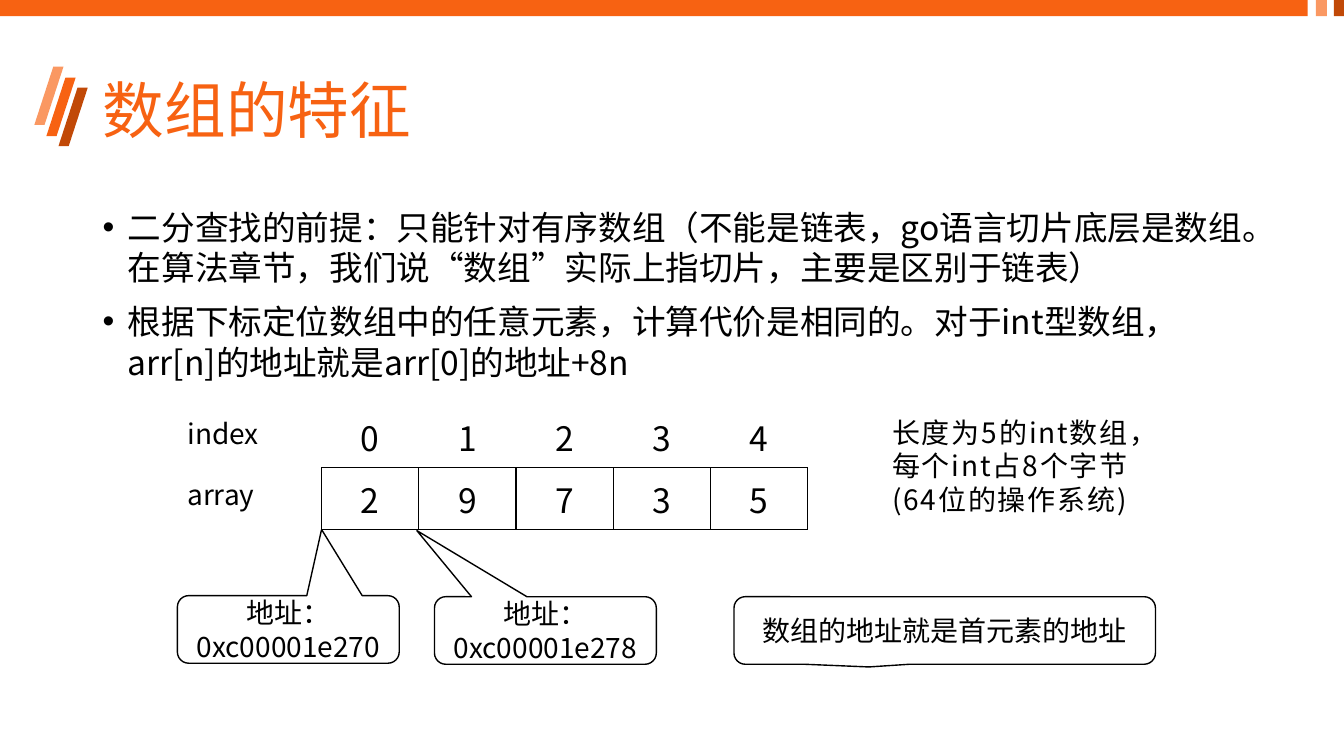
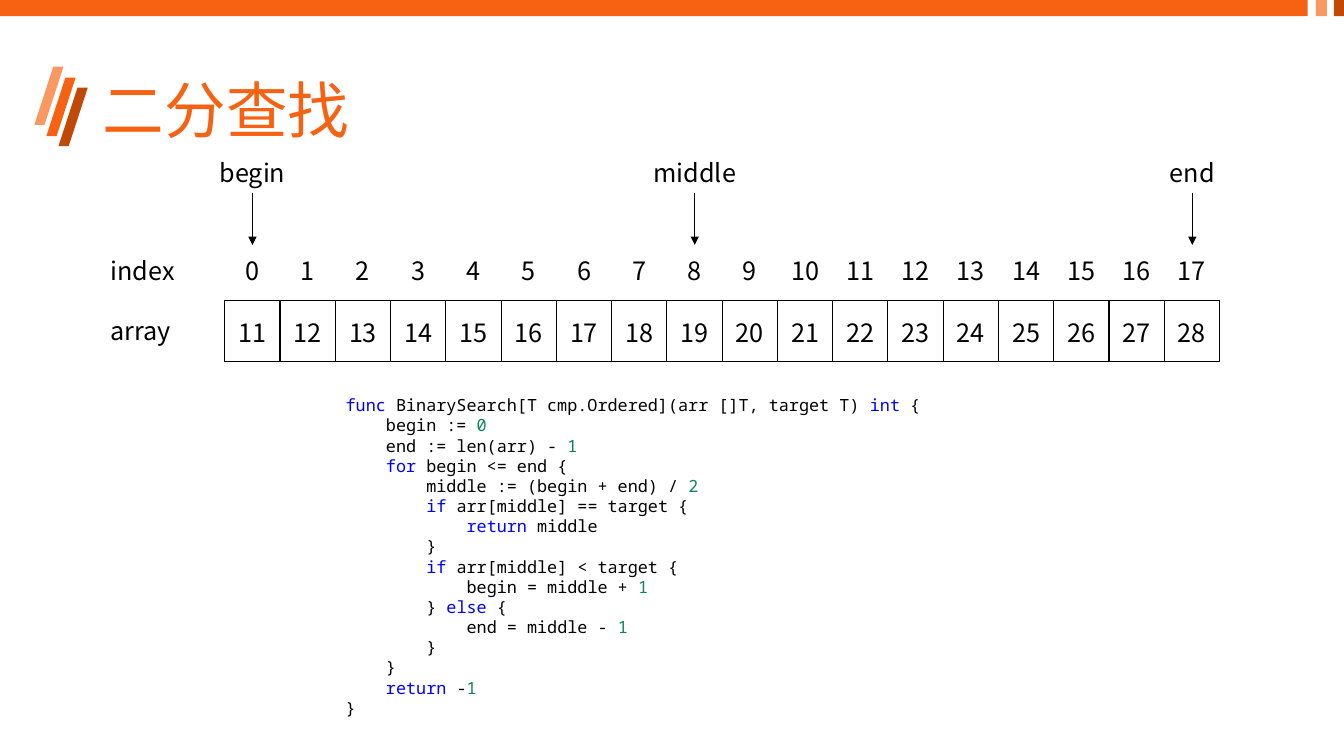
import pptx
import pptx.dml.color
import pptx.enum.shapes
import pptx.enum.text
import pptx.oxml
import pptx.oxml.ns
import pptx.util
from lxml import etree

Inches, Pt = pptx.util.Inches, pptx.util.Pt
hex_colour = pptx.dml.color.RGBColor.from_string
qn = pptx.oxml.ns.qn
SHAPE = pptx.enum.shapes.MSO_SHAPE
LEFT, CENTRE = pptx.enum.text.PP_ALIGN.LEFT, pptx.enum.text.PP_ALIGN.CENTER
MIDDLE = pptx.enum.text.MSO_ANCHOR.MIDDLE

ORANGE, PALE, RUST = "F76212", "FA9862", "C14907"
BLACK, KEYWORD, NUMBER = "000000", "0000FF", "098658"
SANS, MONO = "Noto Sans CJK SC", "Noto Sans Mono"
LINE_HEIGHT = 1.2
NO_TABLE_STYLE = "{2D5ABB26-0587-4C30-8999-92F81FD0307C}"


def add_span(para, text, size, colour=BLACK, font=SANS):
    span = para.add_run()
    span.text = text
    span.font.size = Pt(size)
    span.font.color.rgb = hex_colour(colour)
    span.font.name = font
    properties = span.font._element
    etree.SubElement(properties, qn("a:ea")).set("typeface", font)


def write_lines(frame, lines, size, align=LEFT):
    """Fill a text frame with one paragraph a line and return the paragraphs."""
    for number, line in enumerate(lines):
        para = frame.add_paragraph() if number else frame.paragraphs[0]
        para.alignment = align
        para.line_spacing = Pt(size * LINE_HEIGHT)
        add_span(para, line, size)
    return frame.paragraphs


deck = pptx.Presentation()
deck.slide_width, deck.slide_height = Inches(13.33), Inches(7.5)
layout = deck.slide_layouts[5]
for holder in list(layout.placeholders)[1:]:
    holder.element.getparent().remove(holder.element)

# Titles
pages = []
for title_text in ["数组的特征", "二分查找"]:
    page = deck.slides.add_slide(layout)
    title = page.shapes.title
    title.left, title.top = Inches(0.92), Inches(0.4)
    title.width, title.height = Inches(11.5), Inches(1.45)
    title.text_frame.vertical_anchor = MIDDLE
    para = title.text_frame.paragraphs[0]
    para.alignment, para.line_spacing = LEFT, 0.9
    add_span(para, title_text, 44, ORANGE)
    pages.append(page)
array_page, search_page = pages

# Top band and slanted bars, moved to the shared layout
decorations = [
    (SHAPE.PARALLELOGRAM, 0.46, 0.77, 0.29, 0.58, ORANGE),
    (SHAPE.PARALLELOGRAM, 0.34, 0.66, 0.29, 0.58, PALE),
    (SHAPE.PARALLELOGRAM, 0.58, 0.87, 0.29, 0.58, RUST),
    (SHAPE.RECTANGLE, 0, 0, 12.97, 0.16, ORANGE),
    (SHAPE.RECTANGLE, 13.05, 0, 0.11, 0.16, PALE),
    (SHAPE.RECTANGLE, 13.23, 0, 0.11, 0.16, RUST),
]
for kind, left, top, width, height, colour in decorations:
    bar = array_page.shapes.add_shape(
        kind, Inches(left), Inches(top), Inches(width), Inches(height))
    bar.shadow.inherit = False
    bar.fill.solid()
    bar.fill.fore_color.rgb = hex_colour(colour)
    bar.line.fill.background()
    if kind == SHAPE.PARALLELOGRAM:
        bar.adjustments[0] = 0.65
    layout.shapes.element.append(bar.element)

# Index row above a bordered array row, on both slides
ROW_HEIGHT = 0.61
SEARCH_LEFT, SEARCH_WIDTH = 2.23, 9.87
SEARCH_COLUMN = SEARCH_WIDTH / 18
arrays = [
    (array_page, 3.19, 4.03, 4.82 / 5, 24, [2, 9, 7, 3, 5]),
    (search_page, SEARCH_LEFT, 2.37, SEARCH_COLUMN, 18, range(11, 29)),
]
for page, left, top, column_width, size, values in arrays:
    for row, numbers in enumerate([range(len(values)), values]):
        table = page.shapes.add_table(
            1, len(values), Inches(left), Inches(top + row * ROW_HEIGHT),
            Inches(column_width * len(values)), Inches(ROW_HEIGHT)).table
        table.first_row = table.horz_banding = False
        table._tbl.tblPr.find(qn("a:tableStyleId")).text = NO_TABLE_STYLE
        for column, number in enumerate(numbers):
            table.columns[column].width = Inches(column_width)
            cell = table.cell(0, column)
            cell.vertical_anchor = MIDDLE
            para = write_lines(cell.text_frame, [str(number)], size, CENTRE)[0]
            para.line_spacing = None
            properties = cell._tc.get_or_add_tcPr()
            for side in ["a:lnL", "a:lnR", "a:lnT", "a:lnB"]:
                border = etree.SubElement(properties, qn(side), w=str(Pt(1)))
                if row:
                    fill = etree.SubElement(border, qn("a:solidFill"))
                    etree.SubElement(fill, qn("a:srgbClr"), val=BLACK)
                else:
                    etree.SubElement(border, qn("a:noFill"))
            cell.fill.background()

# Text boxes: page, left, top, width, height, wrap, size, alignment, lines
body_lines = [
    "二分查找的前提：只能针对有序数组（不能是链表，go语言切片底层是数组。"
    "在算法章节，我们说“数组”实际上指切片，主要是区别于链表）",
    "根据下标定位数组中的任意元素，计算代价是相同的。"
    "对于int型数组，arr[n]的地址就是arr[0]的地址+8n",
]
note_lines = ["长度为5的int数组，", "每个int占8个字节", "(64位的操作系统)"]
texts = [
    (array_page, 0.92, 2, 11.5, 1.9, True, 24, LEFT, body_lines),
    (array_page, 1.76, 4.08, 1.2, 0.44, True, 20, LEFT, ["index"]),
    (array_page, 1.76, 4.69, 1.2, 0.44, True, 20, LEFT, ["array"]),
    (array_page, 8.75, 4.07, 2.88, 1.11, False, 20, LEFT, note_lines),
    (search_page, 1, 2.48, 1.06, 0.4, True, 18, LEFT, ["index"]),
    (search_page, 1, 3.08, 1.06, 0.4, True, 18, LEFT, ["array"]),
]
pointers = [("begin", 0), ("middle", 8), ("end", 17)]
for label, index in pointers:
    centre = SEARCH_LEFT + (index + 0.5) * SEARCH_COLUMN
    texts.append((search_page, centre - 0.75, 1.51, 1.5, 0.4, True, 18, CENTRE, [label]))
    arrow = search_page.shapes.add_connector(
        pptx.enum.shapes.MSO_CONNECTOR.STRAIGHT,
        Inches(centre), Inches(1.91), Inches(centre), Inches(2.43))
    arrow.line.width = Pt(1)
    arrow.line.color.rgb = hex_colour(BLACK)
    etree.SubElement(arrow.line._get_or_add_ln(), qn("a:tailEnd"), type="triangle")
    etree.SubElement(arrow.element.spPr, qn("a:effectLst"))

for page, left, top, width, height, wrap, size, align, lines in texts:
    box = page.shapes.add_textbox(Inches(left), Inches(top), Inches(width), Inches(height))
    box.text_frame.word_wrap = wrap
    for para in write_lines(box.text_frame, lines, size, align):
        if lines is body_lines:
            para.space_before = Pt(10)
            properties = para._p.get_or_add_pPr()
            properties.set("marL", str(Inches(0.25)))
            properties.set("indent", str(Inches(-0.25)))
            etree.SubElement(properties, qn("a:buFont"), typeface="Arial")
            etree.SubElement(properties, qn("a:buChar"), char="•")
        elif lines is note_lines:
            para.runs[0].font._element.set("spc", "130")

# Address callouts
callouts = [
    (1.76, 5.91, 2.2, (0.15, -1.48), ["地址：", "0xc00001e270"]),
    (4.31, 5.92, 2.2, (-0.58, -1.48), ["地址：", "0xc00001e278"]),
    (7.28, 5.92, 4.18, (-0.18, 0.54), ["数组的地址就是首元素的地址"]),
]
for left, top, width, tip, lines in callouts:
    callout = array_page.shapes.add_shape(
        SHAPE.ROUNDED_RECTANGULAR_CALLOUT,
        Inches(left), Inches(top), Inches(width), Inches(0.67))
    callout.adjustments[0], callout.adjustments[1] = tip
    callout.shadow.inherit = False
    callout.fill.background()
    callout.line.color.rgb = hex_colour(BLACK)
    callout.line.width = Pt(1)
    callout.text_frame.word_wrap = True
    callout.text_frame.vertical_anchor = MIDDLE
    write_lines(callout.text_frame, lines, 20, CENTRE)

# Code: indent level, then spans divided by |
code_lines = [
    (0, "func |BinarySearch[T cmp.Ordered](arr []T, target T) |int| {"),
    (1, "begin := |0"),
    (1, "end := len(arr) - |1"),
    (1, "for| begin <= end {"),
    (2, "middle := (begin + end) / |2"),
    (2, "if |arr[middle] == target {"),
    (3, "return| middle"),
    (2, "}"),
    (2, "if |arr[middle] < target {"),
    (3, "begin = middle + |1"),
    (2, "} |else| {"),
    (3, "end = middle - |1"),
    (2, "}"),
    (1, "}"),
    (1, "return| -|1"),
    (0, "}"),
]
keywords = {"func", "int", "for", "if", "else", "return"}
code_box = search_page.shapes.add_textbox(Inches(3.33), Inches(3.87), Inches(6.67), Inches(3.33))
code_box.text_frame.word_wrap = True
for number, (level, line) in enumerate(code_lines):
    para = code_box.text_frame.add_paragraph() if number else code_box.text_frame.paragraphs[0]
    para.line_spacing = Pt(12 * LINE_HEIGHT)
    para._p.get_or_add_pPr().set("marL", str(Inches(0.4 * level)))
    for text in line.split("|"):
        word = text.strip()
        colour = KEYWORD if word in keywords else NUMBER if word.isdigit() else BLACK
        add_span(para, text, 12, colour, MONO)

deck.save("out.pptx")
